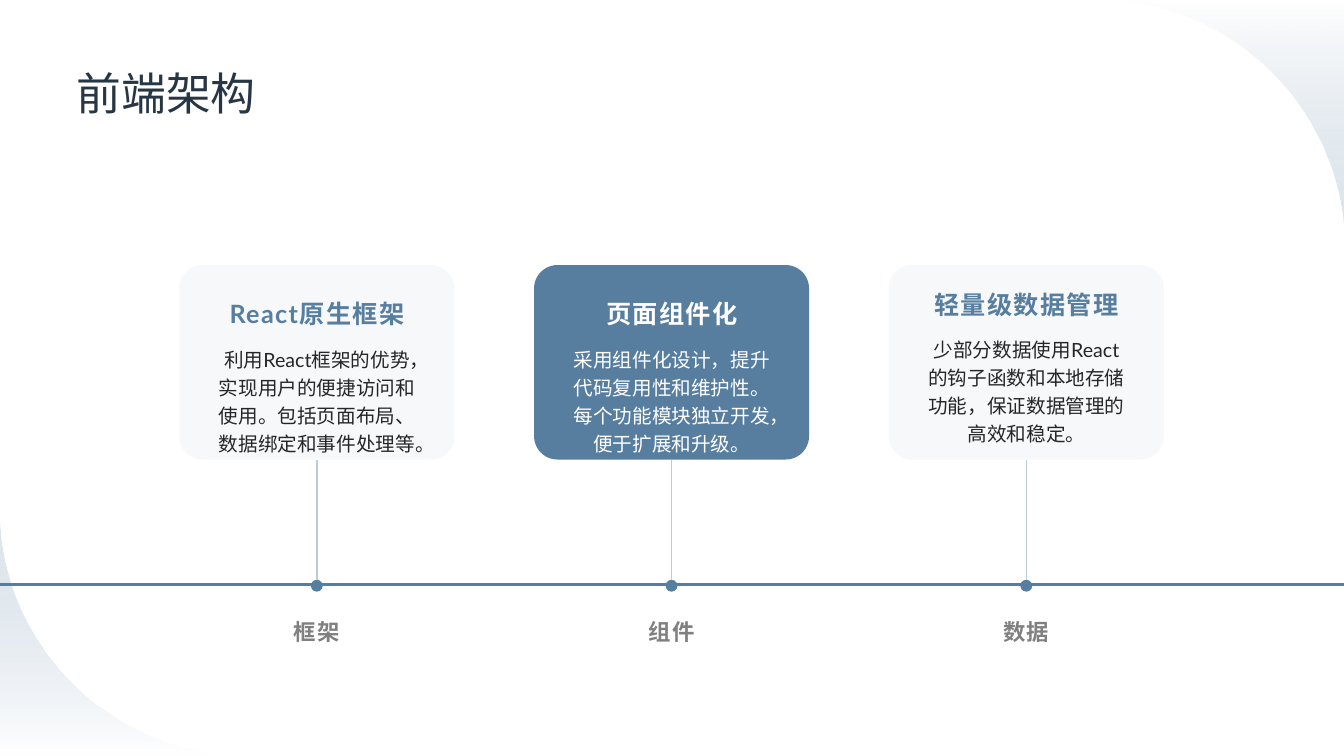
from dataclasses import dataclass
from math import cos, pi, sin

from pptx import Presentation, util as u
from pptx.dml.color import RGBColor
from pptx.enum import shapes, text
from pptx.oxml.ns import qn
from lxml import etree

WIDTH, HEIGHT = 33.87, 19.05
CORNER_RADIUS = 6.27
AXIS_TOP = 14.73
CARD_LEFT, CARD_TOP, CARD_PITCH = 4.52, 6.68, 8.94
CARD_WIDTH, CARD_HEIGHT = 6.93, 4.9
TEXT_INSET, TEXT_WIDTH = 0.89, 5.16
DOT_TOP, DOT_SIZE = 14.61, 0.3

CARDS = [
    ("框架", "React原生框架",
     "利用React框架的优势，实现用户的便捷访问和使用。包括页面布局、数据绑定和事件处理等。",
     False, 7.44),
    ("组件", "页面组件化",
     "采用组件化设计，提升代码复用性和维护性。每个功能模块独立开发，便于扩展和升级。",
     True, 7.44),
    ("数据", "轻量级数据管理",
     "少部分数据使用React的钩子函数和本地存储功能，保证数据管理的高效和稳定。",
     False, 7.19),
]


@dataclass(frozen=True)
class Theme:
    font: str = "Lato"
    title: str = "273644"
    accent: str = "577E9F"
    card: str = "D4DFE8"
    stem: str = "BBCBDA"
    corner: str = "DDE5EC"
    body: str = "262626"
    label: str = "808080"
    inverse: str = "FFFFFF"
    title_size: int = 32
    heading_size: int = 18
    label_size: int = 16
    body_size: int = 14


class SlideBuilder:
    def __init__(self, slide, theme):
        self.slide = slide
        self.theme = theme

    def set_alpha(self, color_parent, percent):
        color = color_parent.find(".//" + qn("a:srgbClr"))
        etree.SubElement(color, qn("a:alpha")).set("val", str(percent * 1000))

    def set_text(self, shape, content, size, color, bold=False, spacing=0, wrap=True,
                 align=text.PP_ALIGN.CENTER, anchor=text.MSO_ANCHOR.TOP, line_spacing=1.0):
        frame = shape.text_frame
        frame.margin_left = frame.margin_right = frame.margin_top = frame.margin_bottom = 0
        frame.word_wrap = wrap
        frame.auto_size = text.MSO_AUTO_SIZE.NONE
        frame.vertical_anchor = anchor
        frame.text = content
        paragraph = frame.paragraphs[0]
        paragraph.alignment = align
        paragraph.line_spacing = line_spacing
        font = paragraph.font
        font.name = self.theme.font
        font.size = u.Pt(size)
        font.bold = bold
        font.color.rgb = RGBColor.from_string(color)
        if spacing:
            font._element.set("spc", str(spacing * 100))

    def title(self, content):
        shape = self.slide.shapes.title
        shape.left, shape.top = u.Cm(1.93), u.Cm(1)
        shape.width, shape.height = u.Cm(30), u.Cm(2)
        self.set_text(shape, content, self.theme.title_size, self.theme.title,
                      align=text.PP_ALIGN.LEFT, anchor=text.MSO_ANCHOR.BOTTOM)

    def text_box(self, left, top, width, height, content, size, color, **style):
        box = self.slide.shapes.add_textbox(u.Cm(left), u.Cm(top), u.Cm(width), u.Cm(height))
        self.set_text(box, content, size, color, **style)

    def block(self, kind, left, top, width, height, color, alpha=100):
        shape = self.slide.shapes.add_shape(
            kind, u.Cm(left), u.Cm(top), u.Cm(width), u.Cm(height))
        shape.shadow.inherit = False
        shape.line.fill.background()
        shape.fill.solid()
        shape.fill.fore_color.rgb = RGBColor.from_string(color)
        if alpha < 100:
            self.set_alpha(shape._element.spPr, alpha)
        return shape

    def line(self, start, end, color, width):
        connector = self.slide.shapes.add_connector(
            shapes.MSO_CONNECTOR.STRAIGHT, *(u.Cm(value) for value in (*start, *end)))
        connector.line.color.rgb = RGBColor.from_string(color)
        connector.line.width = u.Pt(width)
        etree.SubElement(connector._element.spPr, qn("a:effectLst"))

    def corner(self, x, y, direction, angle):
        steps = 48
        arc = []
        for step in range(steps + 1):
            turn = pi / 2 * step / steps
            arc.append((x + direction * CORNER_RADIUS * (1 - sin(turn)),
                        y - direction * CORNER_RADIUS * (1 - cos(turn))))
        builder = self.slide.shapes.build_freeform(u.Cm(x), u.Cm(y))
        builder.add_line_segments([(u.Cm(px), u.Cm(py)) for px, py in arc], close=True)
        shape = builder.convert_to_shape()
        shape.shadow.inherit = False
        shape.line.fill.background()
        fill = shape.fill
        fill.gradient()
        fill.gradient_angle = angle
        colors = (self.theme.corner, self.theme.stem)
        for position, (stop, color) in enumerate(zip(fill.gradient_stops, colors)):
            stop.color.rgb = RGBColor.from_string(color)
            stop.position = position
        self.set_alpha(shape._element.spPr.findall(".//" + qn("a:gs"))[1], 0)
        self.slide.shapes._spTree.insert(2, shape._element)

    def milestone(self, left, label, heading, body, highlighted, heading_top):
        theme = self.theme
        center = left + CARD_WIDTH / 2
        text_left = left + TEXT_INSET
        card = self.block(shapes.MSO_SHAPE.ROUNDED_RECTANGLE, left, CARD_TOP,
                          CARD_WIDTH, CARD_HEIGHT,
                          theme.accent if highlighted else theme.card,
                          100 if highlighted else 20)
        card.adjustments[0] = 0.12
        self.text_box(text_left, heading_top + 1.2, TEXT_WIDTH, 2.46, body, theme.body_size,
                      theme.inverse if highlighted else theme.body, line_spacing=1.2)
        self.text_box(text_left, heading_top, TEXT_WIDTH, 0.94, heading, theme.heading_size,
                      theme.inverse if highlighted else theme.accent,
                      bold=True, spacing=1, anchor=text.MSO_ANCHOR.MIDDLE)
        self.text_box(center - 1.79, 15.57, 3.58, 0.79, label, theme.label_size,
                      theme.label, bold=True, spacing=1, wrap=False)
        self.block(shapes.MSO_SHAPE.OVAL, center - DOT_SIZE / 2, DOT_TOP,
                   DOT_SIZE, DOT_SIZE, theme.accent)
        self.line((center, DOT_TOP), (center, CARD_TOP + CARD_HEIGHT), theme.stem, 1)


def main():
    presentation = Presentation()
    presentation.slide_width, presentation.slide_height = u.Cm(WIDTH), u.Cm(HEIGHT)
    slide = presentation.slides.add_slide(presentation.slide_layouts[5])
    theme = Theme()
    builder = SlideBuilder(slide, theme)
    builder.corner(0, HEIGHT, 1, 270)
    builder.corner(WIDTH, 0, -1, 90)
    builder.title("前端架构")
    builder.line((0, AXIS_TOP), (WIDTH, AXIS_TOP), theme.accent, 2)
    for index, card in enumerate(CARDS):
        builder.milestone(CARD_LEFT + index * CARD_PITCH, *card)
    presentation.save("out.pptx")


if __name__ == "__main__":
    main()
